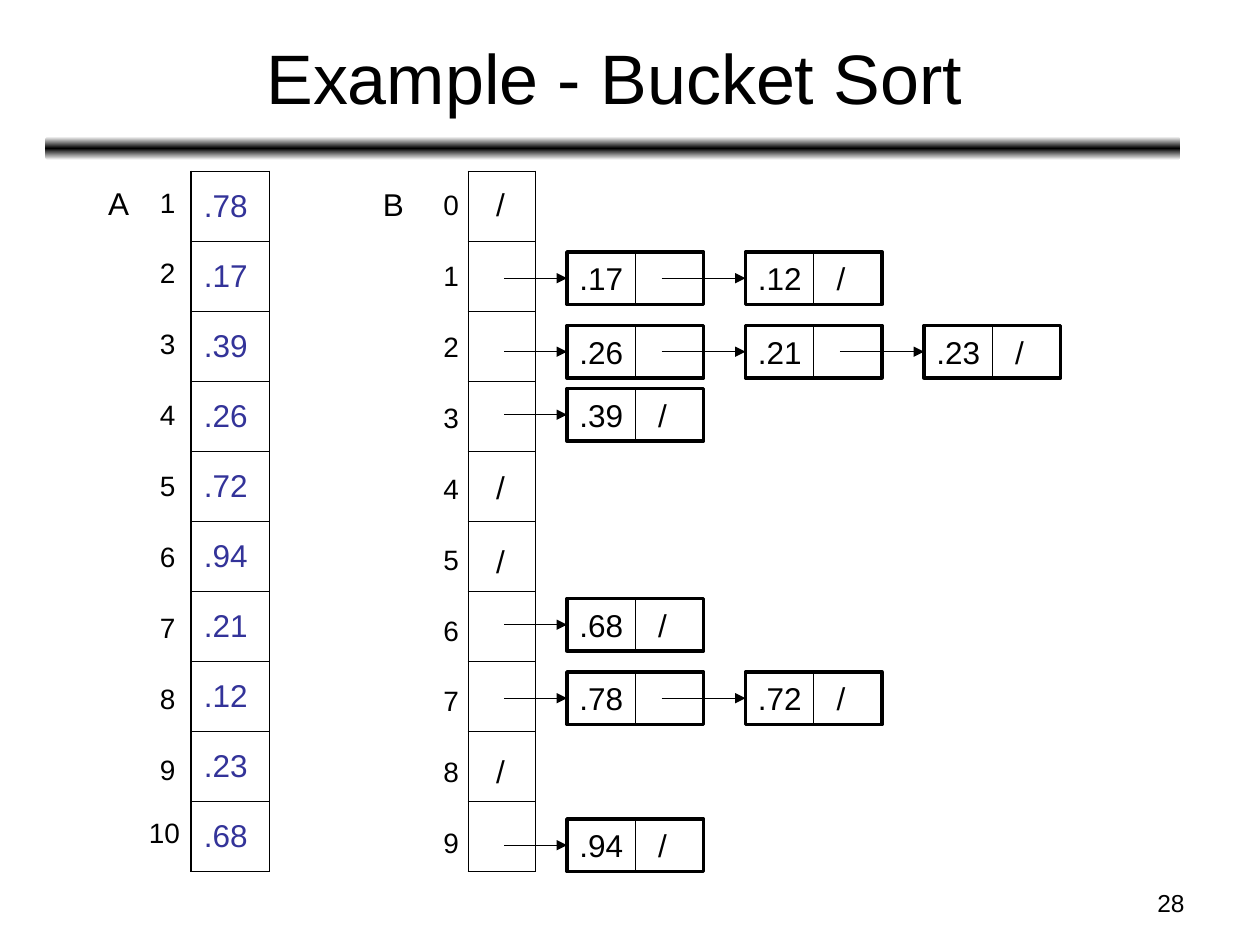
"""Build the bucket sort example slide: input array A, bucket array B and the bucket lists."""
from copy import deepcopy

from lxml.etree import SubElement
from pptx import Presentation
from pptx.dml.color import RGBColor
from pptx.enum.shapes import MSO_CONNECTOR, MSO_SHAPE
from pptx.enum.text import MSO_ANCHOR, MSO_AUTO_SIZE, PP_ALIGN
from pptx.oxml.ns import qn
from pptx.util import Pt

BLACK = RGBColor(0x00, 0x00, 0x00)
WHITE = RGBColor(0xFF, 0xFF, 0xFF)
BLUE = RGBColor(0x33, 0x33, 0x99)

VALUES = [".78", ".17", ".39", ".26", ".72", ".94", ".21", ".12", ".23", ".68"]
EMPTY_BUCKETS = [102, 264, 306, 426]
LISTS = [
    (144, [".17", ".12"]),
    (186, [".26", ".21", ".23"]),
    (222, [".39"]),
    (342, [".68"]),
    (384, [".78", ".72"]),
    (468, [".94"]),
]
TABLE_TOP, ROW_H = 98, 40
NODE_X, NODE_STEP, NODE_W, NODE_H = 324, 102, 78, 30


def put_text(tf, text, size=18, color=BLACK, align=PP_ALIGN.LEFT,
             anchor=MSO_ANCHOR.TOP, wrap=True, fit=False, tab=None):
    tf.word_wrap = wrap
    tf.vertical_anchor = anchor
    if fit:
        tf.auto_size = MSO_AUTO_SIZE.SHAPE_TO_FIT_TEXT
    p = tf.paragraphs[0]
    p.alignment = align
    if tab:
        tabs = SubElement(p._p.get_or_add_pPr(), qn("a:tabLst"))
        SubElement(tabs, qn("a:tab"), pos=str(Pt(tab)), algn="l")
    r = p.add_run()
    r.text = text
    r.font.name = "Arial"
    r.font.size = Pt(size)
    r.font.color.rgb = color


def add_line(x1, y1, x2, y2, arrow=False):
    line = s.shapes.add_connector(MSO_CONNECTOR.STRAIGHT, Pt(x1), Pt(y1), Pt(x2), Pt(y2))
    line.line.color.rgb = BLACK
    line.line.width = Pt(0.75)
    if arrow:
        SubElement(line.line._ln, qn("a:tailEnd"), type="triangle")
    SubElement(line._element.spPr, qn("a:effectLst"))
    return line


prs = Presentation()
prs.slide_width, prs.slide_height = Pt(720), Pt(540)
s = prs.slides.add_slide(prs.slide_layouts[6])

bar = s.shapes.add_shape(MSO_SHAPE.ROUNDED_RECTANGLE, Pt(26), Pt(78), Pt(648.5), Pt(13.5))
bar.shadow.inherit = False
bar.line.fill.background()
bar.fill.gradient()
bar.fill.gradient_angle = 90
stops = bar._element.spPr.find(qn("a:gradFill")).find(qn("a:gsLst"))
stops.insert(1, deepcopy(stops[0]))
for stop, pos, color in zip(bar.fill.gradient_stops, [0, 0.5, 1], [WHITE, BLACK, WHITE]):
    stop.position = pos
    stop.color.rgb = color

title = s.shapes.add_textbox(Pt(27), Pt(8), Pt(648), Pt(71))
put_text(title.text_frame, "Example - Bucket Sort", size=40,
         align=PP_ALIGN.CENTER, anchor=MSO_ANCHOR.MIDDLE)
number = s.shapes.add_textbox(Pt(516), Pt(504), Pt(168), Pt(25))
put_text(number.text_frame, "28", size=14, align=PP_ALIGN.RIGHT)

for x, width, values in [(109.25, 44.75, VALUES), (267.75, 38.25, [""] * 10)]:
    table = s.shapes.add_table(10, 1, Pt(x), Pt(TABLE_TOP), Pt(width), Pt(10 * ROW_H)).table
    table.first_row = table.horz_banding = False
    for i, value in enumerate(values):
        table.rows[i].height = Pt(ROW_H)
        cell = table.cell(i, 0)
        cell.vertical_anchor = MSO_ANCHOR.MIDDLE
        tcPr = cell._tc.get_or_add_tcPr()
        for side, outer in [("L", True), ("R", True), ("T", i == 0), ("B", i == 9)]:
            ln = SubElement(tcPr, qn("a:ln" + side), w=str(Pt(1.08 if outer else 0.45)))
            fill = SubElement(ln, qn("a:solidFill"))
            SubElement(fill, qn("a:srgbClr"), val=str(BLACK))
        cell.fill.background()
        if value:
            put_text(cell.text_frame, value, color=BLUE)

labels = [("A", 54.75, 101.5, 26, 18), ("B", 211.75, 102.25, 26, 18), ("10", 78, 462.25, 34, 16)]
labels += [(str(i), 246.25, 103.75 + 40.5 * i, 23, 16) for i in range(10)]
labels += [(str(i + 1), 84.25, 102.25 + 40.5 * i, 23, 16) for i in range(9)]
labels += [("/", 276.5, y, 19.5, 18) for y in EMPTY_BUCKETS]
for text, x, y, width, size in labels:
    box = s.shapes.add_textbox(Pt(x), Pt(y), Pt(width), Pt(29 if size == 18 else 26.5))
    put_text(box.text_frame, text, size=size, wrap=False, fit=True)

for y, values in LISTS:
    for i, value in enumerate(values):
        x = NODE_X + i * NODE_STEP
        last = i == len(values) - 1
        node = s.shapes.add_shape(MSO_SHAPE.RECTANGLE, Pt(x), Pt(y), Pt(NODE_W), Pt(NODE_H))
        node.shadow.inherit = False
        node.fill.background()
        node.line.color.rgb = BLACK
        node.line.width = Pt(2)
        put_text(node.text_frame, value + "\t/" if last else value,
                 anchor=MSO_ANCHOR.MIDDLE, wrap=False, tab=45 if last else None)
        divider = add_line(x + NODE_W / 2, y, x + NODE_W / 2, y + NODE_H)
        divider.begin_connect(node, 0)
        divider.end_connect(node, 2)
        start = x - 48 if i else x - 36
        arrow = add_line(start, y + NODE_H / 2, x, y + NODE_H / 2, arrow=True)
        arrow.end_connect(node, 1)

prs.save("out.pptx")
